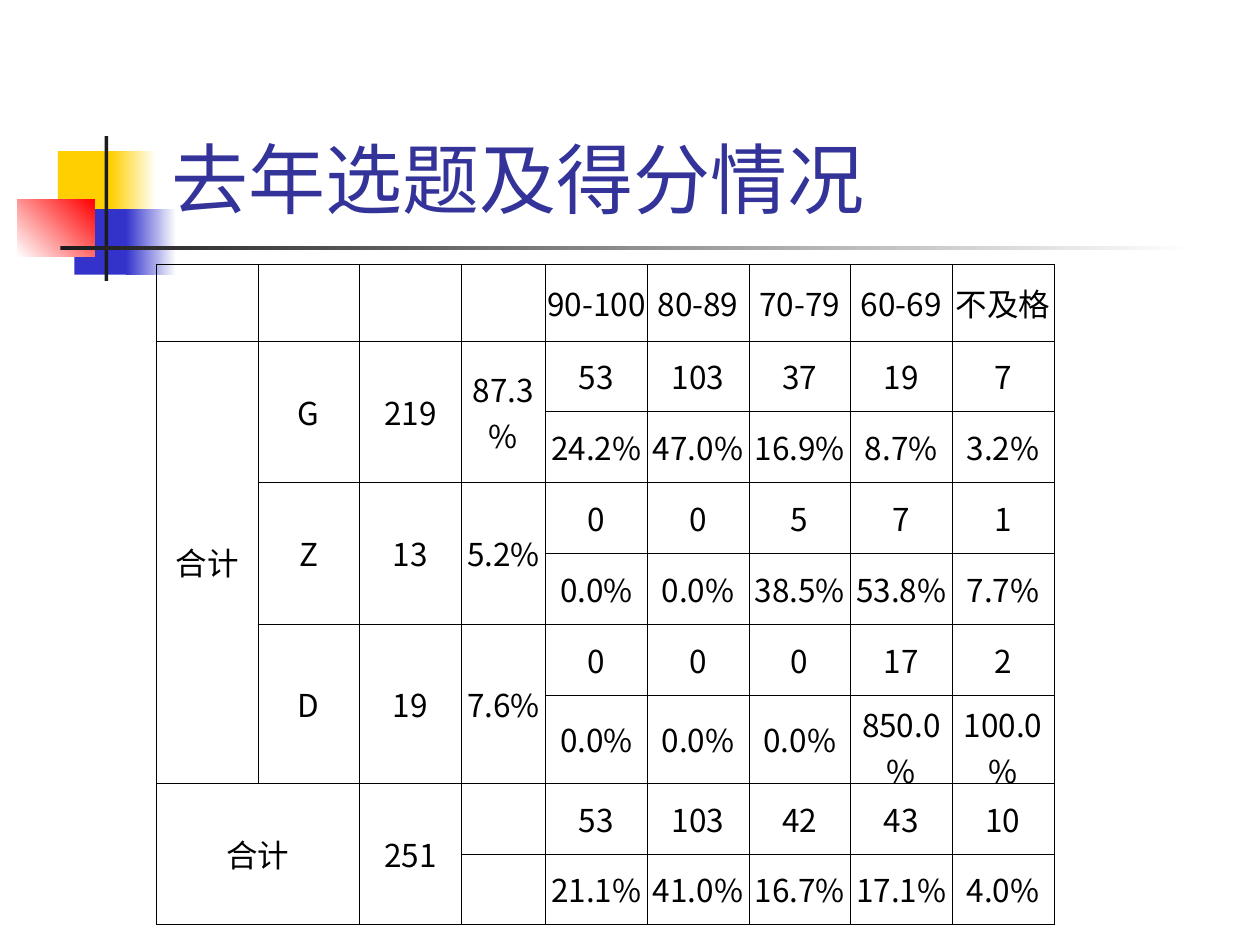
from dataclasses import dataclass

from lxml.etree import SubElement
from pptx import Presentation
from pptx.dml.color import RGBColor
from pptx.enum.shapes import MSO_SHAPE as Shape
from pptx.enum.text import MSO_ANCHOR as Anchor, PP_ALIGN as Align
from pptx.oxml.ns import qn
from pptx.util import Inches, Pt


@dataclass(frozen=True)
class Theme:
    yellow: str = "FFCF01"
    blue: str = "3333CC"
    red: str = "FF0000"
    dark: str = "1C1C1C"
    white: str = "FFFFFF"
    title: str = "333399"
    ink: str = "000000"
    title_font: str = "Lato"
    body_font: str = "Noto Sans CJK SC"
    title_size: int = 44
    body_size: int = 18
    border: float = 0.23


def write(frame, text, *, font, size, color, align=Align.LEFT):
    para = frame.paragraphs[0]
    para.alignment = align
    span = para.add_run()
    span.text = text
    span.font.name = font
    span.font.size = Pt(size)
    span.font.color.rgb = RGBColor.from_string(color)
    SubElement(span.font._element, qn("a:ea"), typeface=Theme.body_font)


def grid(units):
    """The slide is a grid of 100 columns by 75 rows, ten to the inch."""
    return Inches(units / 10)


class SlideBuilder:
    def __init__(self, deck, theme):
        self.theme = theme
        self.page = deck.slides.add_slide(deck.slide_layouts[6])

    def block(self, left, top, width, height, color, fade_to=None, angle=0):
        box = self.page.shapes.add_shape(
            Shape.RECTANGLE, *map(grid, (left, top, width, height)))
        box.shadow.inherit = False
        box.line.fill.background()
        if fade_to is None:
            box.fill.solid()
            box.fill.fore_color.rgb = RGBColor.from_string(color)
            return
        box.fill.gradient()
        box.fill.gradient_angle = angle
        for stop, shade in zip(box.fill.gradient_stops, (color, fade_to)):
            stop.color.rgb = RGBColor.from_string(shade)

    def title(self, left, top, width, height, text):
        box = self.page.shapes.add_textbox(
            *map(grid, (left, top, width, height)))
        box.text_frame.word_wrap = True
        box.text_frame.vertical_anchor = Anchor.BOTTOM
        write(box.text_frame, text, font=self.theme.title_font,
              size=self.theme.title_size, color=self.theme.title)

    def table(self, left, top, widths, heights, rows, merges):
        table = self.page.shapes.add_table(
            len(heights), len(widths), grid(left), grid(top),
            grid(sum(widths)), grid(sum(heights))).table
        table.first_row = table.horz_banding = False
        for column, width in zip(table.columns, widths):
            column.width = grid(width)
        for line, height in zip(table.rows, heights):
            line.height = grid(height)
        for r, texts in enumerate(rows):
            for c, text in enumerate(texts):
                self.cell(table.cell(r, c), text)
        for r, c, down, across in merges:
            table.cell(r, c).merge(table.cell(r + down - 1, c + across - 1))

    def cell(self, cell, text):
        cell.vertical_anchor = Anchor.MIDDLE
        cell.margin_left = cell.margin_right = Inches(0.01)
        cell.margin_top = cell.margin_bottom = Inches(0.05)
        cell.fill.background()
        properties = cell._tc.get_or_add_tcPr()
        for place, side in enumerate(("lnL", "lnR", "lnT", "lnB")):
            edge = SubElement(properties, qn(f"a:{side}"),
                              w=str(Pt(self.theme.border)))
            paint = SubElement(edge, qn("a:solidFill"))
            SubElement(paint, qn("a:srgbClr"), val=self.theme.ink)
            properties.insert(place, edge)
        if text:
            write(cell.text_frame, text, font=self.theme.body_font,
                  size=self.theme.body_size, color=self.theme.ink,
                  align=Align.CENTER)


# Columns: total, topic, count, share, then the five score bands
SCORES = [
    ["", "", "", "", "90-100", "80-89", "70-79", "60-69", "不及格"],
    ["合计", "G", "219", "87.3%", "53", "103", "37", "19", "7"],
    ["", "", "", "", "24.2%", "47.0%", "16.9%", "8.7%", "3.2%"],
    ["", "Z", "13", "5.2%", "0", "0", "5", "7", "1"],
    ["", "", "", "", "0.0%", "0.0%", "38.5%", "53.8%", "7.7%"],
    ["", "D", "19", "7.6%", "0", "0", "0", "17", "2"],
    ["", "", "", "", "0.0%", "0.0%", "0.0%", "850.0%", "100.0%"],
    ["合计", "", "251", "", "53", "103", "42", "43", "10"],
    ["", "", "", "", "21.1%", "41.0%", "16.7%", "17.1%", "4.0%"],
]


def main():
    deck = Presentation()
    deck.slide_width, deck.slide_height = grid(100), grid(75)
    theme = Theme()
    slide = SlideBuilder(deck, theme)

    # Corner ornament: coloured blocks, upright bar and fading rule
    slide.block(4.6, 12, 4.8, 5.2, theme.yellow)
    slide.block(8.8, 12, 3.6, 5.2, theme.yellow, theme.white)
    slide.block(5.9, 16.6, 4.6, 5.2, theme.blue)
    slide.block(10, 16.6, 4, 5.2, theme.blue, theme.white)
    slide.block(1.4, 15.8, 6.1, 4.6, theme.white, theme.red, angle=45)
    slide.block(8.3, 10.8, 0.3, 11.5, theme.dark)
    slide.block(4.8, 19.5, 90, 0.35, theme.dark, theme.white)

    slide.title(12.6, 2.3, 85.2, 16, "去年选题及得分情况")

    # Score table: each topic spans a row of counts and a row of shares
    widths = [8.07] * 3 + [6.7] + [8.07] * 5
    heights = [6.05] + [5.62] * 5 + [6.05] + [5.62] * 2
    topics = [(r, c, 2, 1) for r in (1, 3, 5) for c in (1, 2, 3)]
    merges = topics + [(1, 0, 6, 1), (7, 0, 2, 2), (7, 2, 2, 1)]
    slide.table(12.4, 21, widths, heights, SCORES, merges)

    deck.save("out.pptx")


if __name__ == "__main__":
    main()
